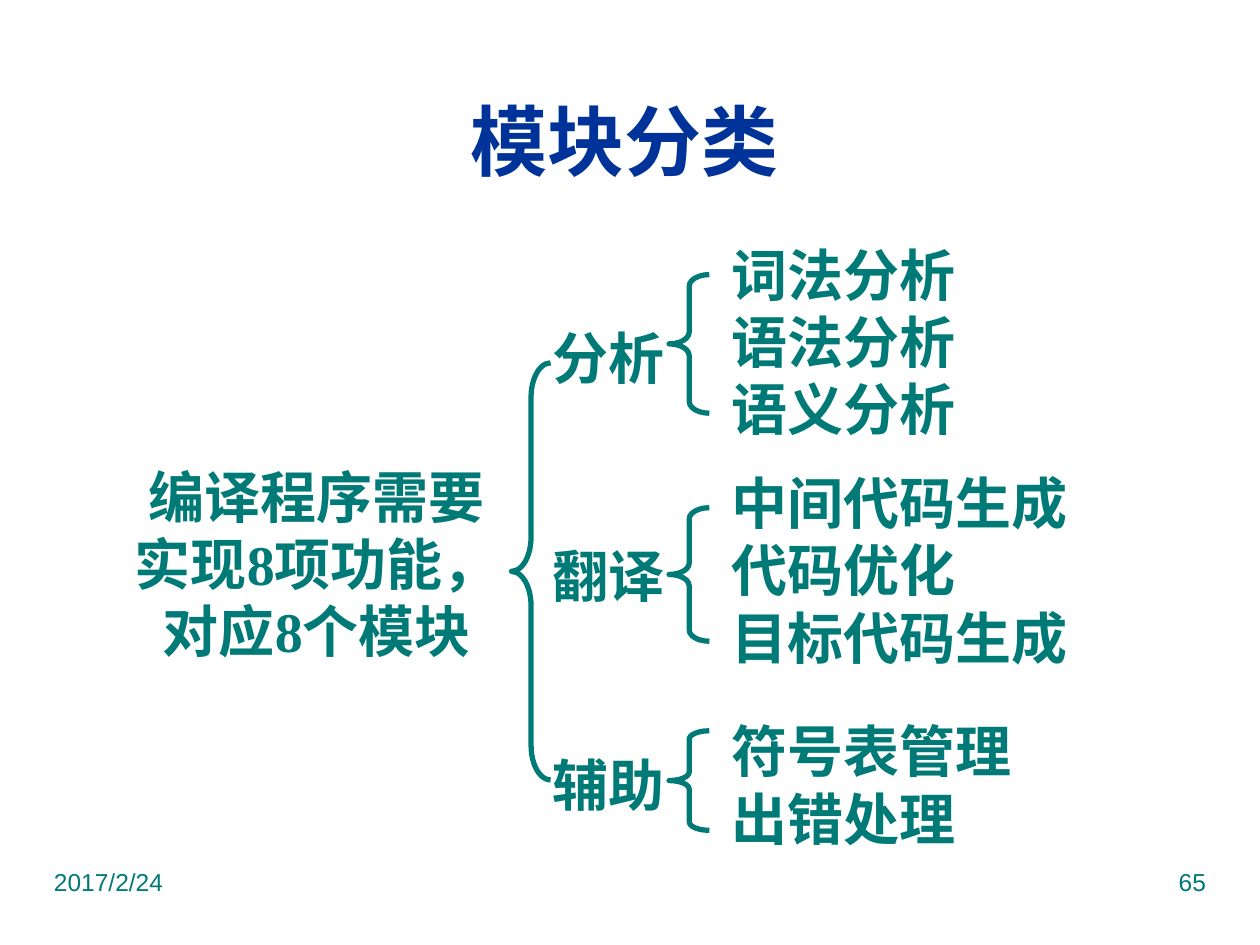
from pptx import Presentation
from pptx.dml.color import RGBColor
from pptx.enum.shapes import MSO_SHAPE as SHAPE
from pptx.enum.text import MSO_ANCHOR as ANCHOR, PP_ALIGN as ALIGN
from pptx.oxml.ns import qn
from pptx.util import Inches, Pt

COLORS = {"title": "003399", "teal": "007A77"}
SERIF, SANS, CJK = "Times New Roman", "Arial", "Noto Sans CJK JP"


def write(sp, lines, font, size, color="teal", bold=True, align=ALIGN.LEFT, spacing=None):
    tf = sp.text_frame
    tf.word_wrap = True
    tf.text = "\n".join(lines)
    for p in tf.paragraphs:
        p.alignment = align
        p.line_spacing = spacing
        p.font.name = font
        p.font.size = Pt(size)
        p.font.bold = bold
        p.font.color.rgb = RGBColor.from_string(COLORS[color])
        for r in p.runs:
            rPr = r.font._element
            ea = rPr.makeelement(qn("a:ea"), {"typeface": CJK})
            rPr.append(ea)


def add_brace(left, top, width, height, curl):
    sp = s.shapes.add_shape(SHAPE.LEFT_BRACE, Inches(left), Inches(top), Inches(width), Inches(height))
    sp.adjustments[0] = curl
    sp.shadow.inherit = False
    sp.fill.background()
    sp.line.color.rgb = RGBColor.from_string(COLORS["teal"])
    sp.line.width = Pt(3)


prs = Presentation()
prs.slide_width, prs.slide_height = Inches(10), Inches(7.5)
s = prs.slides.add_slide(prs.slide_layouts[5])

title = s.shapes.title
title.left, title.top, title.width, title.height = Inches(0.27), Inches(0.6), Inches(9.37), Inches(1.02)
title.text_frame.vertical_anchor = ANCHOR.MIDDLE
write(title, ["模块分类"], SERIF, 44, "title", align=ALIGN.CENTER)

for left, text, align in [(0.33, "2017/2/24", ALIGN.LEFT), (7.17, "65", ALIGN.RIGHT)]:
    footer = s.shapes.add_textbox(Inches(left), Inches(6.83), Inches(2.5), Inches(0.52))
    write(footer, [text], SANS, 14, bold=False, align=align)

summary = s.shapes.add_textbox(Inches(0.9), Inches(3.62), Inches(3.23), Inches(1.7))
write(summary, ["编译程序需要实现8项功能，对应8个模块"], SERIF, 32, align=ALIGN.CENTER)
add_brace(4.06, 2.88, 0.31, 3.31, 0.88)

groups = [
    ("分析", 2.33, ["词法分析", "语法分析", "语义分析"], 1.86, 1.81, 2.18, 1.1, 0.29),
    ("翻译", 4.06, ["中间代码生成", "代码优化", "目标代码生成"], 3.67, 1.73, 4.03, 1.06, 0.28),
    ("辅助", 5.72, ["符号表管理", "出错处理"], 5.64, 1.34, 5.8, 0.79, 0.21),
]
for name, name_top, modules, top, height, brace_top, brace_height, curl in groups:
    label = s.shapes.add_textbox(Inches(4.29), Inches(name_top), Inches(1.2), Inches(0.87))
    write(label, [name], CJK, 32, spacing=1.35)
    items = s.shapes.add_textbox(Inches(5.71), Inches(top), Inches(2.99), Inches(height))
    write(items, modules, CJK, 32)
    add_brace(5.31, brace_top, 0.32, brace_height, curl)

prs.save("out.pptx")
